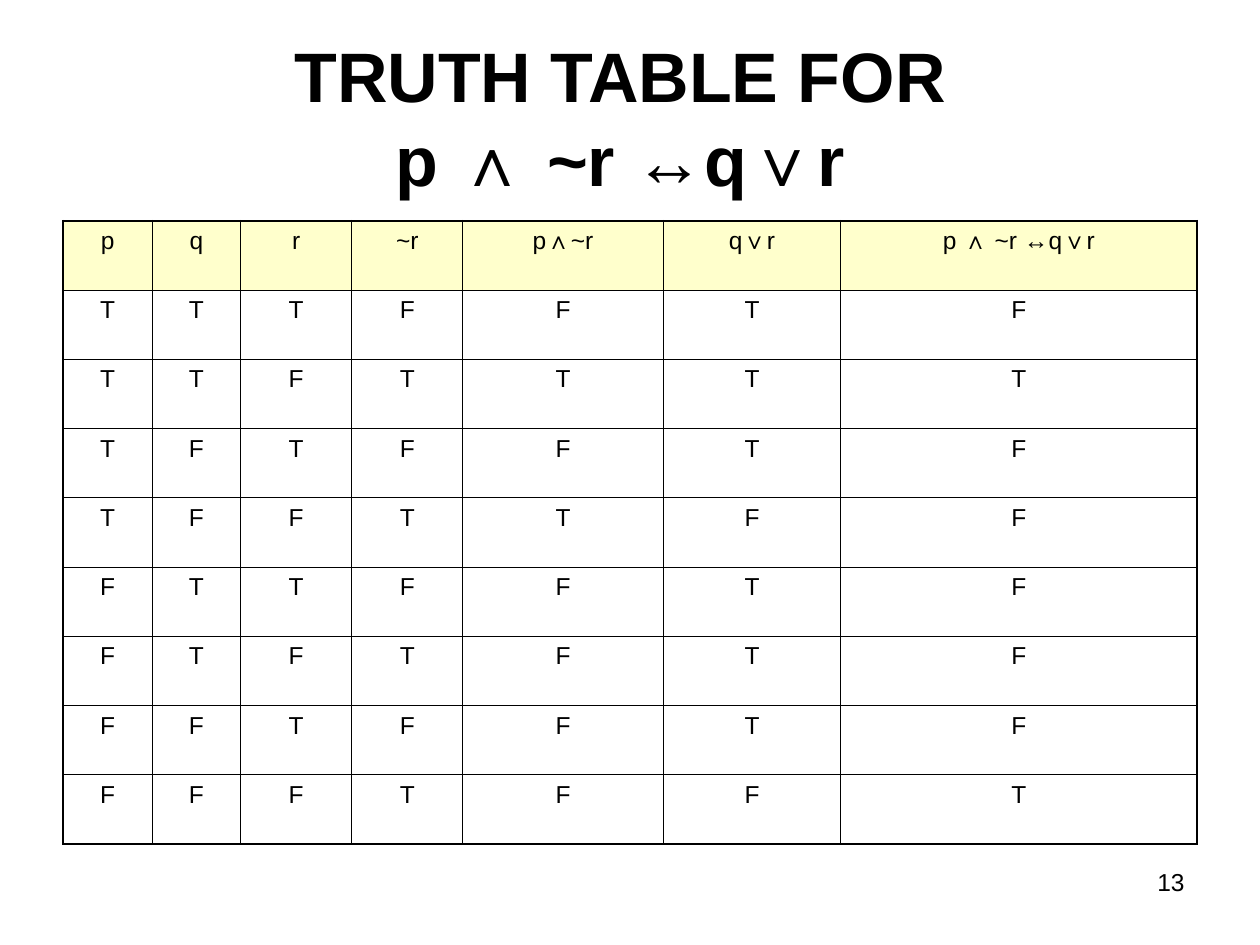
from itertools import product

from lxml.etree import SubElement
from pptx import Presentation
from pptx.dml.color import RGBColor
from pptx.enum.text import MSO_ANCHOR, PP_ALIGN
from pptx.oxml.ns import qn
from pptx.util import Cm, Pt

INK = "000000"
HEADER_FILL = "FFFFCC"
FONT = "Arial"
THIN, THICK = 0.45, 1.08
HEADINGS = ["p", "q", "r", "~r", "p∧~r", "q∨r", "p ∧ ~r ↔q∨r"]
COLUMN_WIDTHS = [1.8, 1.78, 2.24, 2.24, 4.04, 3.58, 7.18]


def colour(value):
    """Turn a hex string into a colour."""
    return RGBColor.from_string(value)


def add_span(para, text, size, bold=False):
    """Add one styled run to a paragraph."""
    span = para.add_run()
    span.text = text
    span.font.name = FONT
    span.font.size = Pt(size)
    span.font.bold = bold
    span.font.color.rgb = colour(INK)


def add_text(page, box, lines, size, align, anchor=MSO_ANCHOR.TOP, bold=False):
    """Place a text box whose lines share one paragraph."""
    frame = page.shapes.add_textbox(*map(Cm, box)).text_frame
    frame.word_wrap = True
    frame.vertical_anchor = anchor
    para = frame.paragraphs[0]
    para.alignment = align
    for index, line in enumerate(lines):
        if index:
            para.add_line_break()
        add_span(para, line, size, bold)


def set_borders(cell, widths):
    """Draw the left, right, top and bottom borders of a cell."""
    properties = cell._tc.get_or_add_tcPr()
    for position, (side, width) in enumerate(widths.items()):
        line = SubElement(properties, qn(f"a:{side}"), w=str(Pt(width)))
        fill = SubElement(line, qn("a:solidFill"))
        SubElement(fill, qn("a:srgbClr"), val=INK)
        properties.remove(line)
        properties.insert(position, line)


def truth_rows():
    """Work out the table body as T and F letters."""
    rows = []
    for p, q, r in product([True, False], repeat=3):
        left, right = p and not r, q or r
        values = [p, q, r, not r, left, right, left == right]
        rows.append(["T" if value else "F" for value in values])
    return rows


def add_truth_table(page, box):
    """Place the truth table with a tinted header and a heavier frame."""
    rows = [HEADINGS] + truth_rows()
    last_row, last_column = len(rows) - 1, len(HEADINGS) - 1
    table = page.shapes.add_table(len(rows), len(HEADINGS), *map(Cm, box)).table
    for column, width in zip(table.columns, COLUMN_WIDTHS):
        column.width = Cm(width)
    for row in table.rows:
        row.height = Cm(box[3] / len(rows))
    for y, texts in enumerate(rows):
        for x, text in enumerate(texts):
            cell = table.cell(y, x)
            if y == 0:
                cell.fill.solid()
                cell.fill.fore_color.rgb = colour(HEADER_FILL)
            else:
                cell.fill.background()
            set_borders(cell, {
                "lnL": THICK if x == 0 else THIN,
                "lnR": THICK if x == last_column else THIN,
                "lnT": THICK if y == 0 else THIN,
                "lnB": THICK if y == last_row else THIN,
            })
            para = cell.text_frame.paragraphs[0]
            para.alignment = PP_ALIGN.CENTER
            add_span(para, text, 14)


def main():
    """Build and save the deck."""
    deck = Presentation()
    deck.slide_width, deck.slide_height = Cm(25.4), Cm(19.05)
    page = deck.slides.add_slide(deck.slide_layouts[6])
    add_text(page, (18.21, 17.35, 5.92, 1.32), ["13"], 14, PP_ALIGN.RIGHT)
    add_text(page, (1.27, 0.76, 22.86, 3.18),
             ["TRUTH TABLE FOR ", "p ∧ ~r ↔q∨r "], 40,
             PP_ALIGN.CENTER, MSO_ANCHOR.MIDDLE, True)
    add_truth_table(page, (1.27, 4.45, 22.86, 12.57))
    deck.save("out.pptx")


if __name__ == "__main__":
    main()
